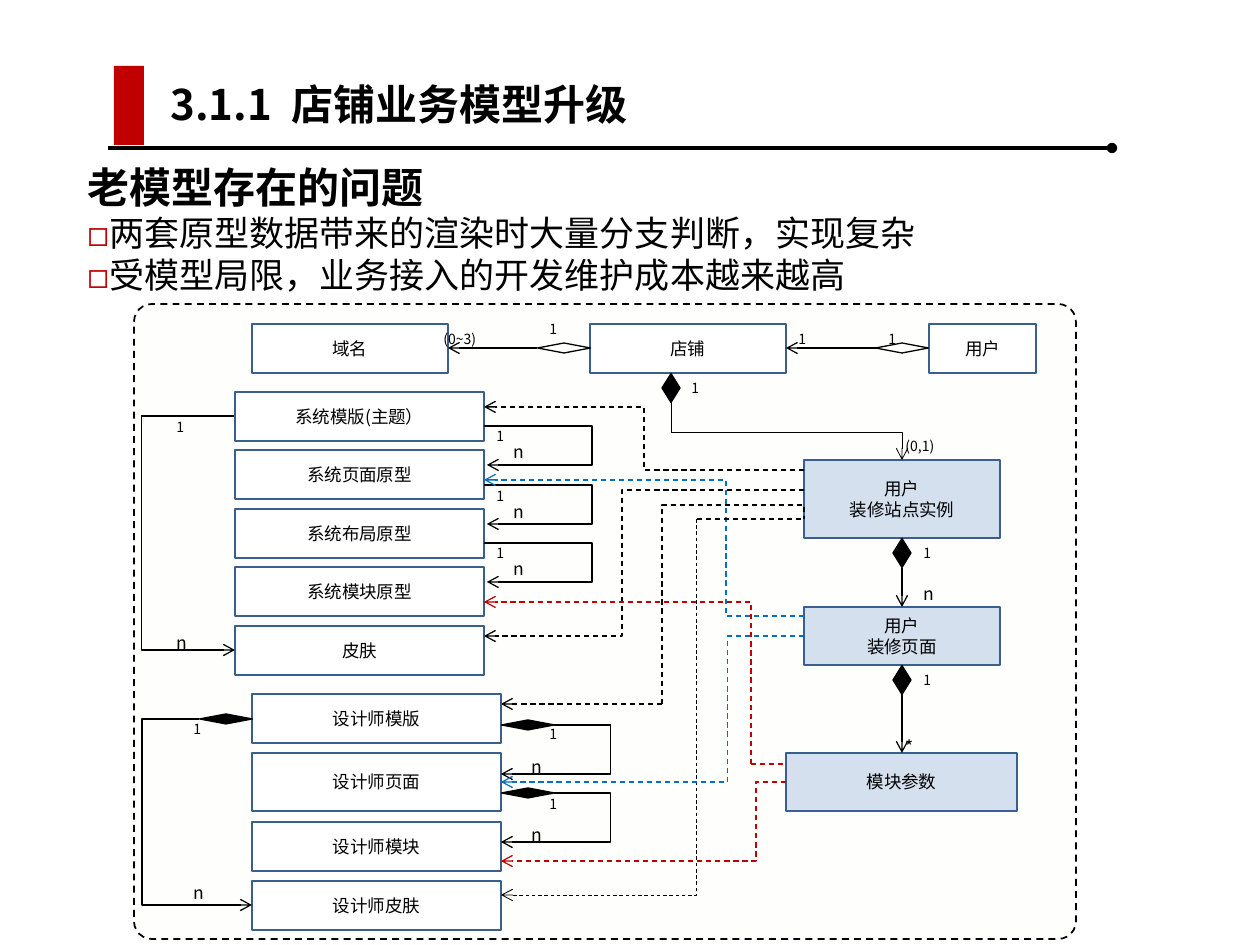
from lxml import etree
from pptx import Presentation
from pptx.dml.color import RGBColor
from pptx.enum.dml import MSO_LINE
from pptx.enum.shapes import MSO_CONNECTOR as LINK, MSO_SHAPE as SHAPE
from pptx.enum.text import MSO_ANCHOR, MSO_AUTO_SIZE, PP_ALIGN
from pptx.oxml.ns import qn
from pptx.util import Pt

PX = 914400 // 126
FONT = "Noto Sans CJK SC"
COLORS = {"black": "000000", "white": "FFFFFF", "red": "C00000", "blue": "0070C0",
          "border": "3A5F8C", "pale": "D4E0EE", "cream": "F4F5D2"}


def rgb(name):
    """Return the colour that has this name."""
    return RGBColor.from_string(COLORS[name])


def add_xml(parent, tag, **attrs):
    """Append a DrawingML element and return it."""
    return etree.SubElement(parent, qn(tag), attrs)


def write(p, text, size=10, bold=False, align=None, bullet=None):
    """Put formatted text in a paragraph."""
    r = p.add_run()
    r.text = text
    p.alignment = align
    f = r.font
    f.size, f.bold, f.name = Pt(size), bold, FONT
    f.color.rgb = rgb("black")
    add_xml(r._r.get_or_add_rPr(), "a:ea", typeface=FONT)
    if bullet:
        pPr = p._p.get_or_add_pPr()
        pPr.set("marL", "0")
        pPr.set("indent", "0")
        add_xml(add_xml(pPr, "a:buClr"), "a:srgbClr", val=COLORS["red"])
        add_xml(pPr, "a:buFont", typeface=FONT)
        add_xml(pPr, "a:buChar", char=bullet)


class Diagram:
    """Draws styled elements on one slide, in pixels."""

    def __init__(self, slide):
        """Keep the slide's shapes."""
        self.shapes = slide.shapes

    def shape(self, kind, x, y, w, h, fill=None, line=None, width=1, rot=0):
        """Add a preset shape without shadow."""
        sp = self.shapes.add_shape(kind, x * PX, y * PX, w * PX, h * PX)
        sp.shadow.inherit = False
        sp.rotation = rot
        if fill:
            sp.fill.solid()
            sp.fill.fore_color.rgb = rgb(fill)
        else:
            sp.fill.background()
        if line:
            sp.line.color.rgb = rgb(line)
            sp.line.width = Pt(width)
        else:
            sp.line.fill.background()
        return sp

    def box(self, text, x, y, w, h, fill="white"):
        """Add a model box with centred lines of text."""
        tf = self.shape(SHAPE.RECTANGLE, x, y, w, h, fill, "border").text_frame
        tf.word_wrap = True
        tf.vertical_anchor = MSO_ANCHOR.MIDDLE
        for i, row in enumerate(text.split("\n")):
            write(tf.add_paragraph() if i else tf.paragraphs[0], row, align=PP_ALIGN.CENTER)

    def diamond(self, cx, cy, w=53, h=10, fill="black", rot=0):
        """Add an aggregation diamond around a centre."""
        self.shape(SHAPE.FLOWCHART_DECISION, cx - w / 2, cy - h / 2, w, h,
                   fill, "black", 0.75, rot)

    def text(self, x, y, w, h, *rows):
        """Add a text box; each row is a text and its format."""
        tf = self.shapes.add_textbox(x * PX, y * PX, w * PX, h * PX).text_frame
        tf.word_wrap = True
        tf.auto_size = MSO_AUTO_SIZE.SHAPE_TO_FIT_TEXT
        for i, (text, style) in enumerate(rows):
            write(tf.add_paragraph() if i else tf.paragraphs[0], text, **style)

    def link(self, x1, y1, x2, y2, color="black", width=0.75, dash=False,
             tail="arrow", kind=LINK.STRAIGHT):
        """Add a connector with an optional end mark."""
        c = self.shapes.add_connector(kind, *(int(v * PX) for v in (x1, y1, x2, y2)))
        c.line.color.rgb = rgb(color)
        c.line.width = Pt(width)
        if dash:
            c.line.dash_style = MSO_LINE.DASH
        if tail:
            add_xml(c.line._get_or_add_ln(), "a:tailEnd", type=tail)
        add_xml(c._element.spPr, "a:effectLst")
        return c

    def elbow(self, x1, y1, x2, y2, mid, upright=False, **style):
        """Add a bent connector whose middle leg lies at mid."""
        ratio = (mid - y1) / (y2 - y1) if upright else (mid - x1) / (x2 - x1)
        if upright:
            cx, cy = (x1 + x2) / 2, (y1 + y2) / 2
            x1, y1, x2, y2 = cx + y1 - cy, cy - x1 + cx, cx + y2 - cy, cy - x2 + cx
        c = self.link(x1, y1, x2, y2, kind=LINK.ELBOW, **style)
        spPr = c._element.spPr
        if upright:
            spPr.find(qn("a:xfrm")).set("rot", "5400000")
        guides = spPr.find(qn("a:prstGeom")).find(qn("a:avLst"))
        add_xml(guides, "a:gd", name="adj1", fmla=f"val {round(ratio * 100000)}")


prs = Presentation()
prs.slide_width, prs.slide_height = 1260 * PX, 945 * PX
s = Diagram(prs.slides.add_slide(prs.slide_layouts[6]))

# Heading
s.link(108, 148, 1112, 148, width=1.75, tail="oval")
s.shape(SHAPE.RECTANGLE, 114, 66, 30, 79, "red")
s.text(158, 72, 929, 63, ("3.1.1  店铺业务模型升级", dict(size=24, bold=True)))
point = dict(size=20, bullet="◻")
s.text(75, 155, 1111, 149, ("老模型存在的问题", dict(size=24, bold=True)),
       ("两套原型数据带来的渲染时大量分支判断，实现复杂", point),
       ("受模型局限，业务接入的开发维护成本越来越高", point))

# Frame
frame = s.shape(SHAPE.ROUNDED_RECTANGLE, 134, 304, 942, 635, "cream", "black")
frame.adjustments[0] = 0.028
frame.line.dash_style = MSO_LINE.DASH
add_xml(frame._element.spPr.find(qn("a:solidFill"))[0], "a:alpha", val="5000")

# Model boxes
s.elbow(238, 416, 235, 650, 141)
for i, name in enumerate(["系统模版(主题）", "系统页面原型", "系统布局原型", "系统模块原型", "皮肤"]):
    s.box(name, 235, 392 + i * 117 // 2, 249, 49)
for name, y, h in [("设计师模版", 694, 49), ("设计师页面", 753, 58),
                   ("设计师模块", 822, 49), ("设计师皮肤", 881, 49)]:
    s.box(name, 252, y, 249, h)
for name, x, w in [("域名", 252, 196), ("店铺", 590, 196), ("用户", 929, 107)]:
    s.box(name, x, 324, w, 49)
for name, x, y, w, h in [("用户\n装修站点实例", 804, 460, 196, 78),
                         ("用户\n装修页面", 804, 607, 196, 58),
                         ("模块参数", 786, 753, 231, 58)]:
    s.box(name, x, y, w, h, "pale")

# Aggregations
for cx, cy in [(226, 719), (528, 725), (528, 793)]:
    s.diamond(cx, cy)
for cx, cy in [(564, 348), (902, 348)]:
    s.diamond(cx, cy, fill=None, rot=180)
for cx, cy in [(671, 388), (902, 553), (902, 680)]:
    s.diamond(cx, cy, 29, 18, rot=90)
for x1, y1, x2, y2 in [(537, 348, 448, 348), (876, 348, 786, 348),
                       (902, 568, 902, 607), (902, 694, 902, 753)]:
    s.link(x1, y1, x2, y2)
s.elbow(671, 403, 902, 460, 432, upright=True, width=0.5)
s.elbow(199, 719, 252, 905, 142)
for y in (725, 793):
    s.elbow(554, y, 501, y + 49, 611)
for y in (426, 485, 543):
    s.elbow(484, y, 487, y + 39, 593)

# Dependencies
for x1, y1, x2, y2, mid, color, width in [
        (804, 470, 484, 407, 644, "black", 0.75), (804, 490, 484, 636, 622, "black", 0.75),
        (697, 519, 501, 895, 697, "black", 0.5), (804, 636, 501, 782, 728, "blue", 0.75),
        (804, 616, 484, 480, 726, "blue", 0.75), (786, 782, 501, 861, 756, "red", 0.75),
        (751, 764, 484, 602, 751, "red", 0.75)]:
    s.elbow(x1, y1, x2, y2, mid, color=color, width=width, dash=True)
s.elbow(662, 704, 804, 519, 505, upright=True, dash=True, tail=None)
s.link(662, 704, 501, 704, dash=True)
s.link(697, 519, 804, 519, dash=True, tail=None)
s.link(751, 764, 786, 764, color="red", dash=True, tail=None)

# Multiplicities
for x, y in [(537, 719), (537, 789), (181, 714), (164, 412), (484, 538), (679, 373), (911, 538),
             (911, 665), (537, 314), (484, 481), (484, 421), (786, 324), (876, 324)]:
    s.text(x, y, 35, 30, ("1", dict(size=8)))
for x, y in [(519, 750), (519, 818), (181, 876), (164, 626), (501, 552), (911, 577),
             (501, 495), (501, 435)]:
    s.text(x, y, 53, 34, ("n", {}))
s.text(893, 730, 53, 34, ("*", {}))
s.text(893, 431, 107, 30, ("(0,1)", dict(size=8)))
s.text(431, 324, 125, 30, ("(0~3)", dict(size=8)))

prs.save("out.pptx")
